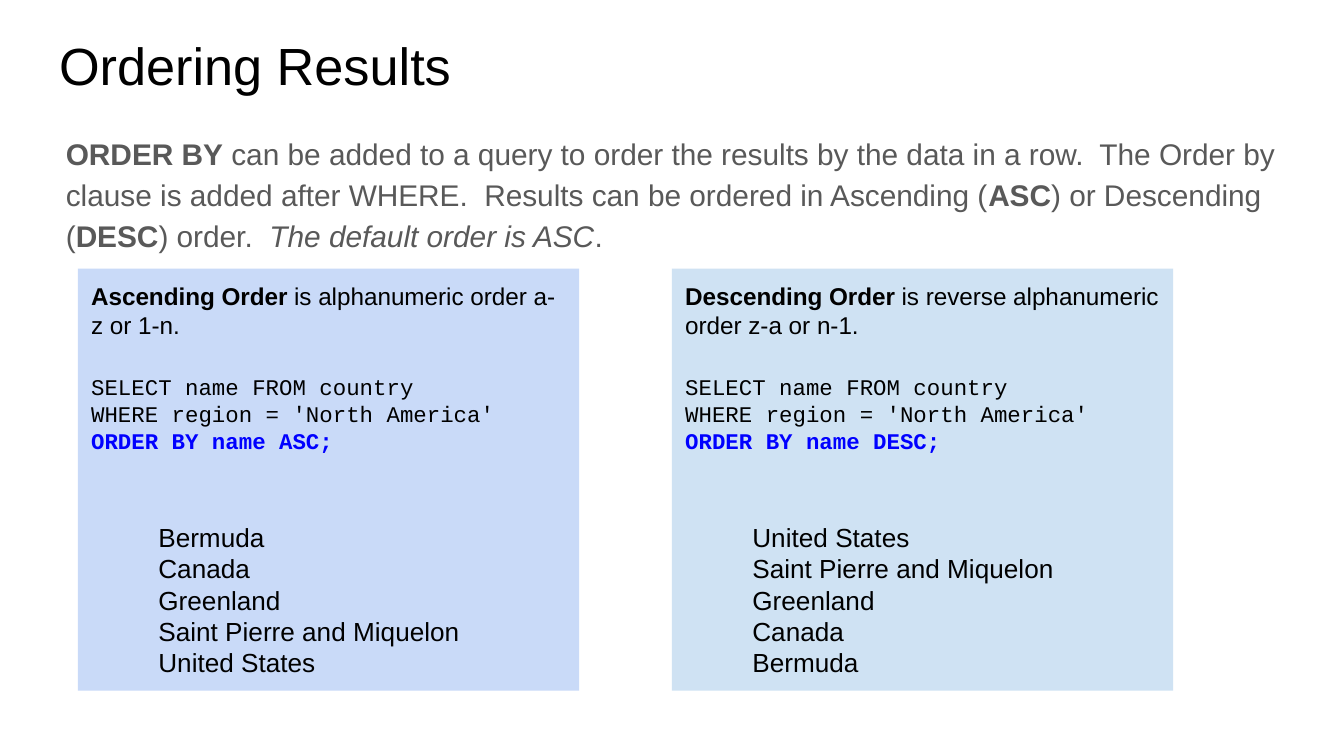
from pptx import Presentation
from pptx.dml.color import RGBColor
from pptx.enum import shapes, text
from pptx.util import Inches, Pt
from lxml import etree

BLACK = RGBColor(0, 0, 0)
GRAY = RGBColor(0x59, 0x59, 0x59)
BLUE = RGBColor(0, 0, 0xFF)
PERI = RGBColor(0xC9, 0xDA, 0xF8)
SKY = RGBColor(0xCF, 0xE2, 0xF3)
NS = "{http://schemas.openxmlformats.org/drawingml/2006/main}"


def write(para, words, size=14, font="Arial", color=BLACK, bold=False,
          italic=False, before=0, after=0, line=1, indent=0):
    para.alignment = text.PP_ALIGN.LEFT
    para.space_before, para.space_after = Pt(before), Pt(after)
    para.line_spacing = line
    props = para._p.get_or_add_pPr()
    props.set("marL", str(Inches(indent)))
    props.set("indent", "0")
    if props.find(NS + "buNone") is None:
        etree.SubElement(props, NS + "buNone")
    run = para.add_run()
    run.text = words
    face = run.font
    face.name, face.size, face.bold, face.italic = font, Pt(size), bold, italic
    face.color.rgb = color


def place(shape, box):
    shape.left, shape.top, shape.width, shape.height = map(Inches, box)


def frame(shape, anchor=text.MSO_ANCHOR.TOP):
    area = shape.text_frame
    area.margin_left = area.margin_right = Inches(0.1)
    area.margin_top = area.margin_bottom = Inches(0.1)
    area.word_wrap = True
    area.auto_size = text.MSO_AUTO_SIZE.NONE
    area.vertical_anchor = anchor
    return area


def title(slide, box):
    shape = slide.shapes.title
    place(shape, box)
    write(frame(shape).paragraphs[0], "Ordering Results", size=28)


def intro(slide, box):
    shape = slide.placeholders[1]
    place(shape, box)
    para = frame(shape).paragraphs[0]
    parts = [
        ("ORDER BY", {"bold": True}),
        (" can be added to a query to order the results by the data in a row."
         "  The Order by clause is added after WHERE.  Results can be ordered"
         " in Ascending (", {}),
        ("ASC", {"bold": True}),
        (") or Descending (", {}),
        ("DESC", {"bold": True}),
        (") order.  ", {}),
        ("The default order is ASC", {"italic": True}),
        (".", {}),
    ]
    for words, style in parts:
        write(para, words, size=16, color=GRAY, line=1.15, after=16, **style)


def panel(slide, box, fill, name, rule, key, rows):
    shape = slide.shapes.add_shape(shapes.MSO_SHAPE.RECTANGLE,
                                   *map(Inches, box))
    shape.shadow.inherit = False
    shape.fill.solid()
    shape.fill.fore_color.rgb = fill
    shape.line.fill.background()
    area = frame(shape, text.MSO_ANCHOR.MIDDLE)
    head = area.paragraphs[0]
    write(head, name, size=13, bold=True)
    write(head, rule, size=13)
    code = {"size": 12, "font": "Courier New"}
    write(area.add_paragraph(), "SELECT name FROM country", before=18, **code)
    write(area.add_paragraph(), "WHERE region = 'North America'", **code)
    write(area.add_paragraph(), f"ORDER BY name {key};", color=BLUE,
          bold=True, **code)
    for i, row in enumerate(rows):
        write(area.add_paragraph(), row, indent=0.5, before=0 if i else 36)


def main():
    deck = Presentation()
    deck.slide_width = Inches(10)
    deck.slide_height = deck.slide_width * 9 // 16
    slide = deck.slides.add_slide(deck.slide_layouts[1])
    title(slide, (0.34, 0.15, 9.32, 0.63))
    intro(slide, (0.39, 0.87, 9.32, 0.98))
    lands = ["Bermuda", "Canada", "Greenland", "Saint Pierre and Miquelon",
             "United States"]
    panel(slide, (0.58, 2, 3.73, 3.14), PERI, "Ascending Order",
          " is alphanumeric order a-z or 1-n.", "ASC", lands)
    panel(slide, (5, 2, 3.73, 3.14), SKY, "Descending Order",
          " is reverse alphanumeric order z-a or n-1.", "DESC", lands[::-1])
    deck.save("out.pptx")


main()
